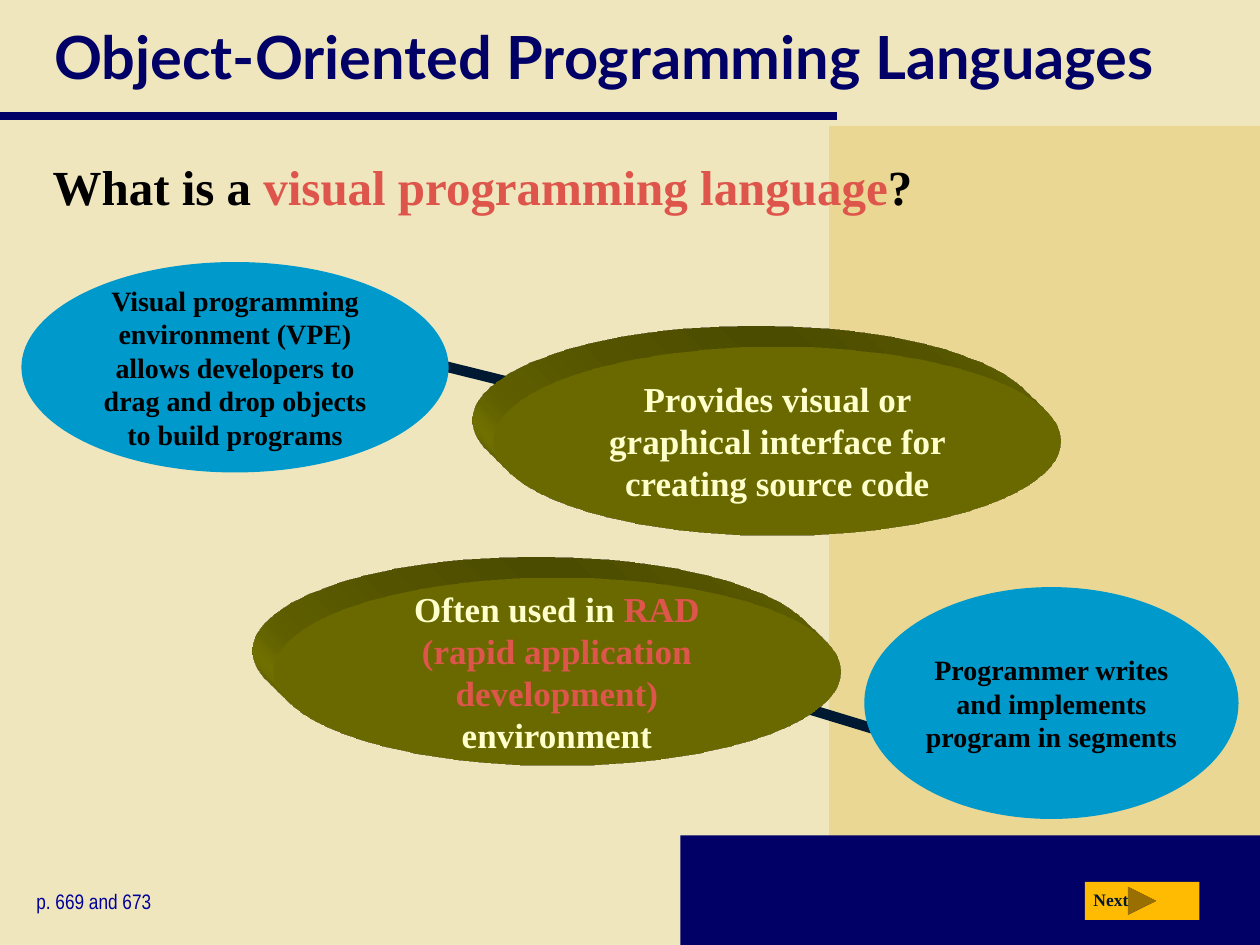
from lxml import etree
from pptx import Presentation
from pptx.dml.color import RGBColor
from pptx.enum.shapes import MSO_CONNECTOR, MSO_SHAPE
from pptx.enum.text import MSO_ANCHOR, MSO_AUTO_SIZE, PP_ALIGN
from pptx.oxml import parse_xml
from pptx.oxml.ns import qn
from pptx.util import Inches, Pt

COLORS = {
    "cream": "F0E6BE", "sand": "E9D793", "navy": "000066", "ref": "000099",
    "ink": "001932", "black": "000000", "red": "DD554B", "blue": "0099CC",
    "olive": "808000", "pale": "FFFFCC", "amber": "FFBA02",
}
SERIF = "Times New Roman"
A_NS = "http://schemas.openxmlformats.org/drawingml/2006/main"


def rgb(name):
    return RGBColor.from_string(COLORS[name])


def write(tf, text, size=16, font=SERIF, color="black", bold=True,
          align=PP_ALIGN.LEFT, anchor=MSO_ANCHOR.TOP, inset=None):
    """Fill a frame; text is a string or a list of (string, colour) runs."""
    tf.word_wrap = True
    tf.auto_size = MSO_AUTO_SIZE.NONE
    tf.vertical_anchor = anchor
    if inset is not None:
        tf.margin_left = tf.margin_right = Inches(inset)
        tf.margin_top = tf.margin_bottom = Inches(inset)
    p = tf.paragraphs[0]
    p.alignment = align
    p.space_before = Pt(0)
    for part, part_color in [(text, color)] if isinstance(text, str) else text:
        r = p.add_run()
        r.text = part
        r.font.name, r.font.size, r.font.bold = font, Pt(size), bold
        r.font.color.rgb = rgb(part_color)


class SlideBuilder:
    def __init__(self, prs):
        self.s = prs.slides.add_slide(prs.slide_layouts[5])
        self.s.background.fill.solid()
        self.s.background.fill.fore_color.rgb = rgb("cream")

    def group(self):
        return self.s.shapes.add_group_shape()

    def title(self, text, box):
        sp = self.s.shapes.title
        sp.left, sp.top, sp.width, sp.height = map(Inches, box)
        write(sp.text_frame, text, size=34, font="Lato", color="navy",
              anchor=MSO_ANCHOR.MIDDLE)

    def text(self, text, box, parent=None, **fmt):
        sp = (parent or self.s).shapes.add_textbox(*map(Inches, box))
        write(sp.text_frame, text, **fmt)

    def shape(self, kind, box, fill, parent=None):
        sp = (parent or self.s).shapes.add_shape(kind, *map(Inches, box))
        sp.fill.solid()
        sp.fill.fore_color.rgb = rgb(fill)
        sp.line.fill.background()
        sp.shadow.inherit = False
        return sp

    def line(self, start, end, color, width, parent=None):
        ln = (parent or self.s).shapes.add_connector(
            MSO_CONNECTOR.STRAIGHT, *map(Inches, start + end))
        ln.line.color.rgb = rgb(color)
        ln.line.width = Pt(width)
        etree.SubElement(ln._element.spPr, qn("a:effectLst"))

    def oval(self, text, box, fill, parent=None, **fmt):
        sp = self.shape(MSO_SHAPE.OVAL, box, fill, parent)
        write(sp.text_frame, text, align=PP_ALIGN.CENTER,
              anchor=MSO_ANCHOR.MIDDLE, **fmt)
        return sp

    def extruded_oval(self, text, left, top):
        sp = self.oval(text, (left, top, 4.5, 1.5), "olive",
                       size=20, color="pale")
        spPr = sp._element.spPr
        spPr.append(parse_xml(
            f'<a:scene3d xmlns:a="{A_NS}">'
            '<a:camera prst="legacyObliqueTopLeft"/>'
            '<a:lightRig rig="legacyFlat3" dir="b"/></a:scene3d>'))
        spPr.append(parse_xml(
            f'<a:sp3d xmlns:a="{A_NS}" extrusionH="430200" '
            'prstMaterial="legacyMatte"><a:extrusionClr>'
            f'<a:srgbClr val="{COLORS["olive"]}"/></a:extrusionClr></a:sp3d>'))

    def callout(self, text, box, start, end, **fmt):
        """Blue oval drawn over the line that ties it to a main point."""
        g = self.group()
        self.line(start, end, "ink", 6, g)
        self.oval(text, box, "blue", g, **fmt)

    def next_button(self):
        g = self.group()
        self.shape(MSO_SHAPE.ACTION_BUTTON_FORWARD_OR_NEXT,
                   (8.61, 7, 0.91, 0.3), "amber", g)
        self.text("Next", (8.58, 7.01, 0.51, 0.27), g, size=10, color="ink")


def main():
    prs = Presentation()
    prs.slide_width, prs.slide_height = Inches(10), Inches(7.5)
    b = SlideBuilder(prs)

    b.shape(MSO_SHAPE.RECTANGLE, (6.58, 1, 3.42, 6.5), "sand")
    b.shape(MSO_SHAPE.RECTANGLE, (5.4, 6.63, 4.6, 0.87), "navy")
    b.line((0, 0.92), (6.64, 0.92), "navy", 5)

    b.title("Object-Oriented Programming Languages", (0.33, 0, 9.67, 0.88))
    b.text([("What is a ", "black"), ("visual programming language", "red"),
            ("?", "black")], (0.32, 1.19, 9.39, 0.72), size=28)
    b.text("p. 669 and 673", (0.19, 7, 1.69, 0.3), size=12,
           font="Arial Narrow", color="ref", bold=False)
    b.next_button()

    b.callout("Programmer writes and implements program in segments",
              (6.86, 4.66, 2.97, 1.84), (7.38, 5.92), (6, 5.5), inset=0)
    b.callout("Visual programming environment (VPE) allows developers to "
              "drag and drop objects to build programs",
              (0.17, 2.08, 3.39, 1.67), (4.92, 3.25), (3.22, 2.83))
    b.extruded_oval([("Often used in ", "pale"),
                     ("RAD (rapid application development) ", "red"),
                     ("environment", "pale")], 2.17, 4.58)
    b.extruded_oval("Provides visual or graphical interface for creating "
                    "source code", 3.92, 2.75)
    prs.save("out.pptx")


if __name__ == "__main__":
    main()
